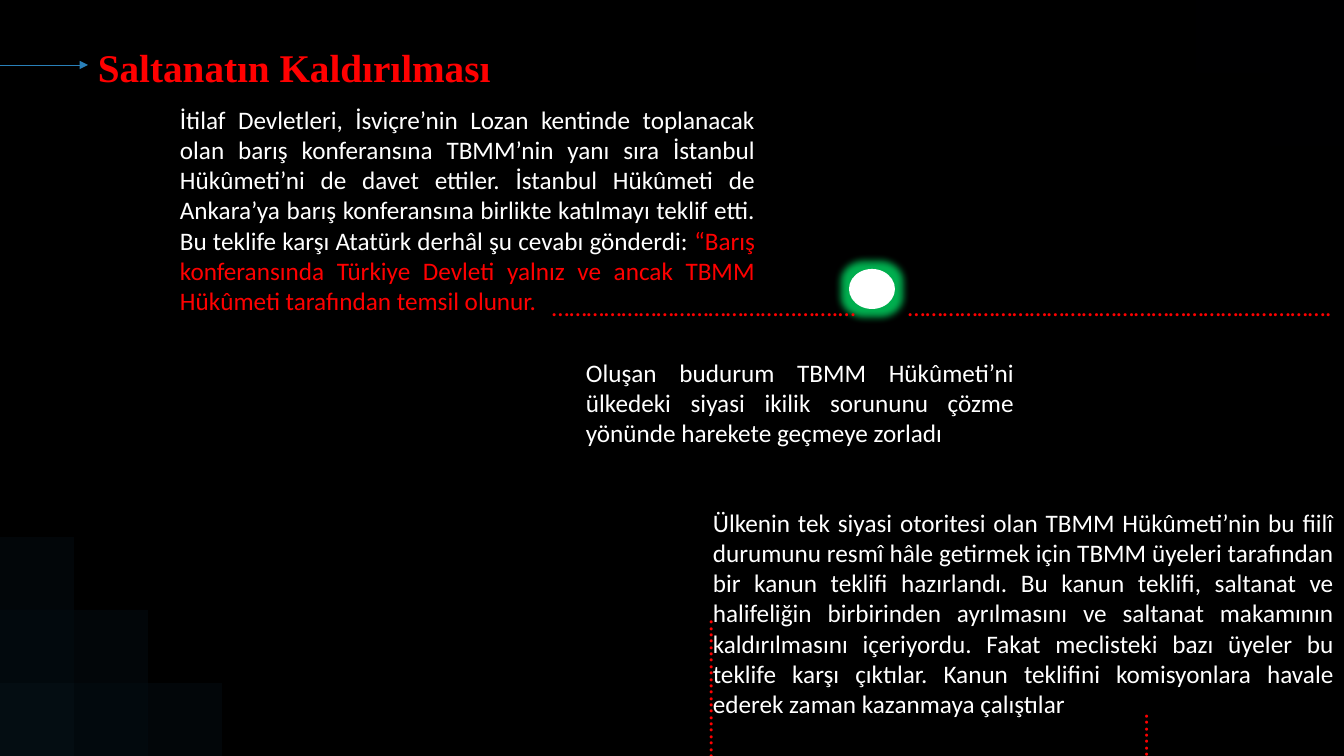
import lxml.etree
import pptx
import pptx.dml.color
import pptx.enum.shapes
import pptx.enum.text
import pptx.oxml.ns
import pptx.util

PAGE_WIDTH, PAGE_HEIGHT = 1344, 756
SCALE = 914400 / 100.8
CELL_WIDTH, CELL_HEIGHT = 74, 73
COLORS = {
    "background": "000000",
    "accent": "2980B9",
    "shade": "171622",
    "text": "FFFFFF",
    "highlight": "FF0000",
    "glow": "00B050",
}
BODY = {"name": "Calibri", "size": pptx.util.Pt(18)}
TITLE = {"name": "Times New Roman", "size": pptx.util.Pt(28), "bold": True}
LEFT = pptx.enum.text.PP_ALIGN.LEFT
JUSTIFY = pptx.enum.text.PP_ALIGN.JUSTIFY
SHAPES = pptx.enum.shapes.MSO_SHAPE

CONFERENCE = [
    ("İtilaf Devletleri, İsviçre’nin Lozan kentinde toplanacak olan barış "
     "konferansına TBMM’nin yanı sıra İstanbul Hükûmeti’ni de davet ettiler. "
     "İstanbul Hükûmeti de Ankara’ya barış konferansına birlikte katılmayı teklif "
     "etti. Bu teklife karşı Atatürk derhâl şu cevabı gönderdi: ", "text"),
    ("“Barış konferansında Türkiye Devleti yalnız ve ancak TBMM Hükûmeti "
     "tarafından temsil olunur.", "highlight"),
]
DUALITY = [
    ("Oluşan budurum TBMM Hükûmeti’ni ülkedeki siyasi ikilik sorununu çözme "
     "yönünde harekete geçmeye zorladı", "text"),
]
PROPOSAL = [
    ("Ülkenin tek siyasi otoritesi olan TBMM Hükûmeti’nin bu fiilî durumunu resmî "
     "hâle getirmek için TBMM üyeleri tarafından bir kanun teklifi hazırlandı. Bu "
     "kanun teklifi, saltanat ve halifeliğin birbirinden ayrılmasını ve saltanat "
     "makamının kaldırılmasını içeriyordu. Fakat meclisteki bazı üyeler bu teklife "
     "karşı çıktılar. Kanun teklifini komisyonlara havale ederek zaman kazanmaya "
     "çalıştılar", "text"),
]
DOTTED_LINES = [
    ((542, 286, 330, 40), 0, "…………………………………...…….…"),
    ((898, 286, 446, 40), 0, "……………………………………………………………….",),
    ((559, 733, 287, 40), 270, "." * 42),
    ((1069, 770, 173, 40), 90, "." * 24),
]


def px(*lengths):
    """Turn whole pixels into EMU."""
    return [pptx.util.Emu(round(length * SCALE)) for length in lengths]


def color(name):
    """Look up a named colour."""
    return pptx.dml.color.RGBColor.from_string(COLORS[name])


def apply(target, values):
    """Set each named attribute on the target."""
    for name, value in values.items():
        setattr(target, name, value)


def add_child(parent, tag, **attributes):
    """Append a drawing element to its parent."""
    return lxml.etree.SubElement(parent, pptx.oxml.ns.qn(tag), attributes)


def add_filled(page, kind, area, fill, opacity=100):
    """Add a preset shape with a plain fill and no outline."""
    shape = page.shapes.add_shape(kind, *px(*area))
    shape.shadow.inherit = False
    shape.fill.solid()
    shape.fill.fore_color.rgb = color(fill)
    shape.line.fill.background()
    if opacity < 100:
        tint = shape.element.spPr.find(".//" + pptx.oxml.ns.qn("a:srgbClr"))
        add_child(tint, "a:alpha", val=str(opacity * 1000))
    return shape


def add_text(page, area, spans, style, align=LEFT, wrap=True, rotation=0):
    """Add one paragraph of coloured spans."""
    box = page.shapes.add_textbox(*px(*area))
    box.rotation = rotation
    apply(box.text_frame, {
        "word_wrap": wrap,
        "auto_size": pptx.enum.text.MSO_AUTO_SIZE.SHAPE_TO_FIT_TEXT,
    })
    para = box.text_frame.paragraphs[0]
    para.alignment = align
    for words, tone in spans:
        span = para.add_run()
        span.text = words
        apply(span.font, style)
        span.font.color.rgb = color(tone)


def add_corner_steps(page):
    """Add the faint stepped squares in two opposite corners."""
    for row in range(3):
        for column in range(3 - row):
            step = row + column
            size = (CELL_WIDTH, CELL_HEIGHT)
            lower = (column * CELL_WIDTH, PAGE_HEIGHT - (row + 1) * CELL_HEIGHT)
            upper = (PAGE_WIDTH - (column + 1) * CELL_WIDTH, row * CELL_HEIGHT)
            add_filled(page, SHAPES.RECTANGLE, lower + size, "accent", (10, 7, 5)[step])
            add_filled(page, SHAPES.RECTANGLE, upper + size, "shade", (4, 3, 2)[step])


def add_arrow(page, start, end):
    """Add a thin arrow."""
    straight = pptx.enum.shapes.MSO_CONNECTOR.STRAIGHT
    arrow = page.shapes.add_connector(straight, *px(*start, *end))
    arrow.line.color.rgb = color("accent")
    arrow.line.width = pptx.util.Pt(0.5)
    add_child(arrow.line._get_or_add_ln(), "a:tailEnd", type="triangle")
    add_child(arrow._element.spPr, "a:effectLst")


def add_glowing_dot(page, area):
    """Add a white ellipse with a green glow."""
    dot = add_filled(page, SHAPES.OVAL, area, "text")
    effects = dot.element.spPr.find(pptx.oxml.ns.qn("a:effectLst"))
    glow = add_child(effects, "a:glow", rad=str(pptx.util.Pt(11)))
    add_child(glow, "a:srgbClr", val=COLORS["glow"])


def main():
    """Build and save the slide."""
    deck = pptx.Presentation()
    deck.slide_width, deck.slide_height = px(PAGE_WIDTH, PAGE_HEIGHT)
    page = deck.slides.add_slide(deck.slide_layouts[6])
    page.background.fill.solid()
    page.background.fill.fore_color.rgb = color("background")

    add_corner_steps(page)
    add_text(page, (170, 99, 595, 224), CONFERENCE, BODY, JUSTIFY)
    add_text(page, (703, 502, 641, 224), PROPOSAL, BODY, JUSTIFY)
    title = [("Saltanatın Kaldırılması", "highlight")]
    add_text(page, (88, 38, 445, 57), title, TITLE, wrap=False)
    add_text(page, (576, 352, 448, 102), DUALITY, BODY, JUSTIFY)
    add_arrow(page, (0, 65), (88, 65))
    add_glowing_dot(page, (849, 269, 46, 40))
    for area, rotation, dots in DOTTED_LINES:
        add_text(page, area, [(dots, "highlight")], BODY, wrap=False, rotation=rotation)
    deck.save("out.pptx")


if __name__ == "__main__":
    main()
